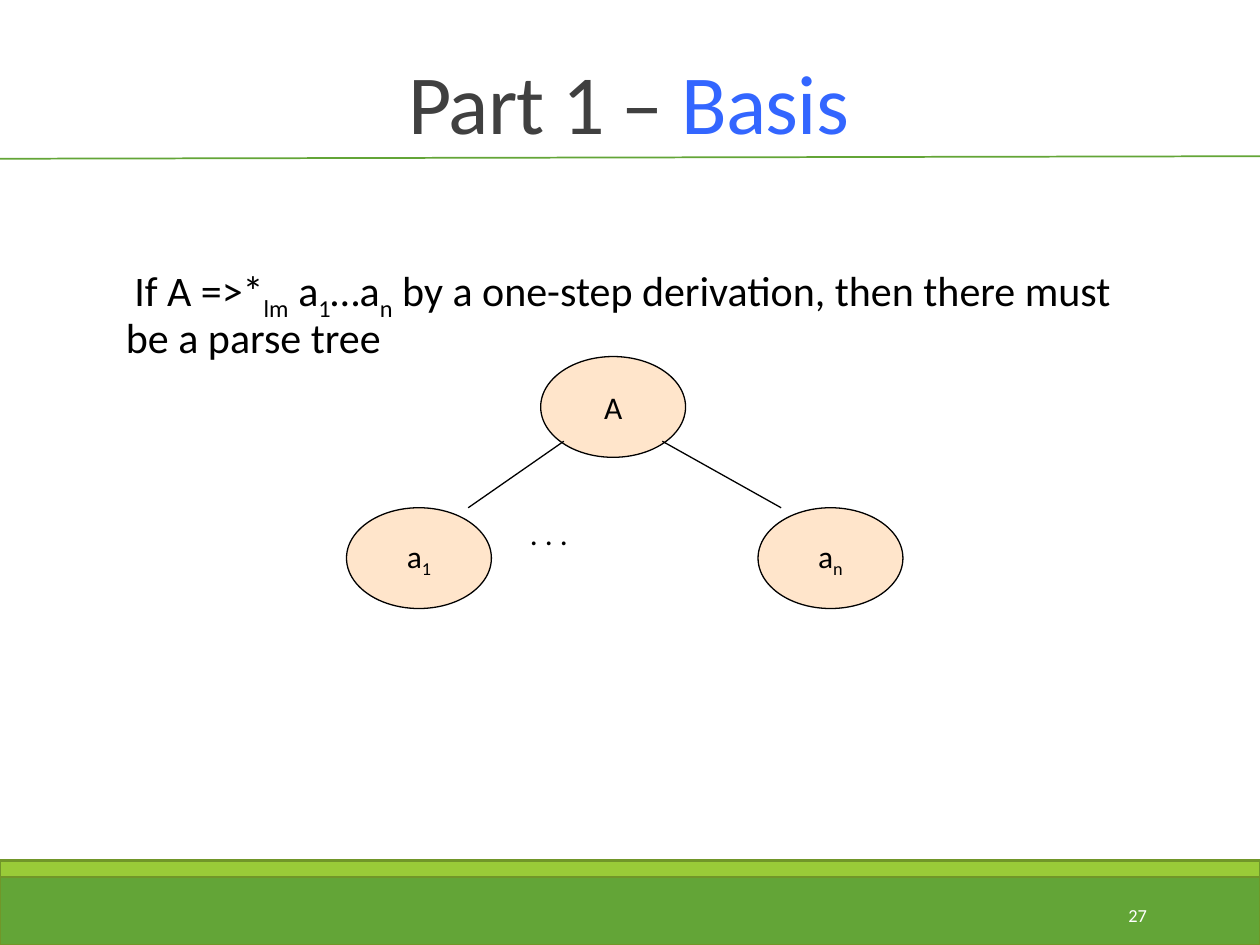
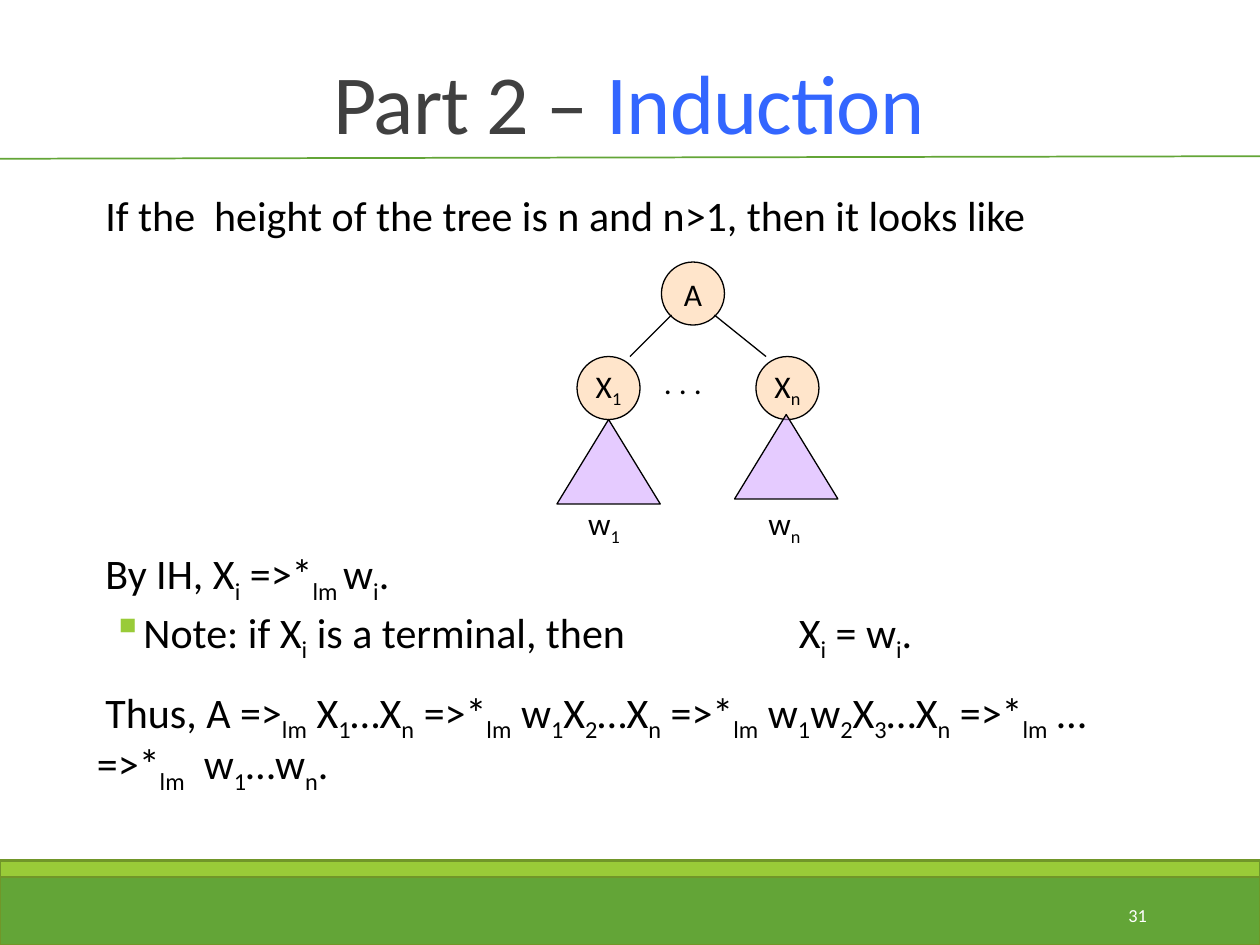
import pptx
import pptx.dml.color
import pptx.enum.shapes
import pptx.enum.text
import pptx.oxml
import pptx.oxml.ns
import pptx.util
from lxml import etree

Inches = pptx.util.Inches
Pt = pptx.util.Pt
RGB = pptx.dml.color.RGBColor
MSO_SHAPE = pptx.enum.shapes.MSO_SHAPE
ALIGN = pptx.enum.text.PP_ALIGN
ANCHOR = pptx.enum.text.MSO_ANCHOR
qn = pptx.oxml.ns.qn

FONT = "Calibri"
BLACK = RGB(0x00, 0x00, 0x00)
WHITE = RGB(0xFF, 0xFF, 0xFF)
GREEN = RGB(0x63, 0xA5, 0x37)
LIME = RGB(0x99, 0xCB, 0x38)
OLIVE = RGB(0x71, 0x96, 0x29)
GRAY = RGB(0x40, 0x40, 0x40)
BLUE = RGB(0x33, 0x66, 0xFF)
PEACH = RGB(0xFF, 0xCC, 0x99)
VIOLET = RGB(0xCC, 0x99, 0xFF)


def add_text(p, text, size=18, color=BLACK, spacing=None):
    """Write text into a paragraph; parts between ~ marks are subscripts."""
    for i, part in enumerate(text.split("~")):
        if not part:
            continue
        r = p.add_run()
        r.text = part
        r.font.name = FONT
        r.font.size = Pt(size)
        r.font.color.rgb = color
        if spacing is not None:
            r.font._element.set("spc", str(spacing))
        if i % 2:
            r.font._element.set("baseline", "-25000")


def add_box(s, x, y, w, h, anchor=ANCHOR.TOP, align=ALIGN.LEFT):
    tf = s.shapes.add_textbox(Inches(x), Inches(y), Inches(w), Inches(h)).text_frame
    tf.word_wrap = True
    tf.vertical_anchor = anchor
    tf.paragraphs[0].alignment = align
    return tf


def add_shape(s, kind, x, y, w, h, fill, line=BLACK, width=0.75, alpha=None):
    sp = s.shapes.add_shape(kind, Inches(x), Inches(y), Inches(w), Inches(h))
    sp.shadow.inherit = False
    sp.fill.solid()
    sp.fill.fore_color.rgb = fill
    sp.line.color.rgb = line
    sp.line.width = Pt(width)
    if alpha is not None:
        clr = sp._element.spPr.find(qn("a:solidFill"))[0]
        etree.SubElement(clr, qn("a:alpha")).set("val", str(alpha * 1000))
    return sp


def add_line(s, x1, y1, x2, y2, color=BLACK, width=0.75):
    c = s.shapes.add_connector(pptx.enum.shapes.MSO_CONNECTOR.STRAIGHT,
                               Inches(x1), Inches(y1), Inches(x2), Inches(y2))
    c.line.color.rgb = color
    c.line.width = Pt(width)
    etree.SubElement(c._element.spPr, qn("a:effectLst"))


def add_frame(prs, title, accent, number):
    """Bands, rule, page number and title shared by the slides."""
    s = prs.slides.add_slide(prs.slide_layouts[6])
    add_shape(s, MSO_SHAPE.RECTANGLE, 0, 6.92, 10, 0.58, GREEN, OLIVE, 1.25)
    add_shape(s, MSO_SHAPE.RECTANGLE, 0, 6.83, 10, 0.13, LIME, OLIVE, 1.25)
    add_line(s, -0.03, 1.26, 10, 1.24, GREEN, 1)
    tf = add_box(s, 8.12, 7.06, 1.08, 0.4, ANCHOR.MIDDLE, ALIGN.RIGHT)
    add_text(tf.paragraphs[0], number, size=10.5, color=WHITE)
    tf = add_box(s, 0.49, 0.25, 9, 1, ANCHOR.BOTTOM, ALIGN.CENTER)
    p = tf.paragraphs[0]
    p.line_spacing = 0.85
    add_text(p, title, size=48, color=GRAY, spacing=-50)
    add_text(p, accent, size=48, color=BLUE, spacing=-50)
    return s


def set_bullet(p, char, margin, hang, tab=None):
    pPr = p._p.get_or_add_pPr()
    pPr.set("marL", str(Inches(margin)))
    pPr.set("indent", str(-Inches(hang)))
    clr = etree.SubElement(etree.SubElement(pPr, qn("a:buClr")), qn("a:srgbClr"))
    clr.set("val", str(LIME))
    etree.SubElement(pPr, qn("a:buChar")).set("char", char)
    if tab:
        stop = etree.SubElement(etree.SubElement(pPr, qn("a:tabLst")), qn("a:tab"))
        stop.set("pos", str(Inches(tab)))
        stop.set("algn", "l")


def add_body(s, x, y, w, h, items):
    """Each item: text, level, space before in points."""
    tf = add_box(s, x, y, w, h)
    tf.margin_left = tf.margin_right = 0
    for i, (text, level, before) in enumerate(items):
        p = tf.add_paragraph() if i else tf.paragraphs[0]
        p.level = level
        p.line_spacing = 0.9
        p.space_before = Pt(before)
        p.space_after = Pt(4 if level else 2)
        if level:
            set_bullet(p, "▪", 0.42, 0.2, tab=5.67)
        else:
            set_bullet(p, " ", 0.1, 0.1)
        add_text(p, text, size=24)


def add_tree(s, x, y, sx, sy, names):
    """Root over two children; sx and sy stretch the unit tree."""
    def place(u, v):
        return x + u * sx, y + v * sy

    spots = [(0.67, 0), (0, 0.75), (1.42, 0.75)]
    for name, spot in zip(names, spots):
        sp = add_shape(s, MSO_SHAPE.OVAL, *place(*spot), 0.5 * sx, 0.5 * sy,
                       PEACH, alpha=50)
        tf = sp.text_frame
        tf.word_wrap = False
        tf.vertical_anchor = ANCHOR.MIDDLE
        tf.paragraphs[0].alignment = ALIGN.CENTER
        add_text(tf.paragraphs[0], name)
    tf = add_box(s, *place(0.59, 0.75), 0.71 * sx, 0.5 * sy)
    add_text(tf.paragraphs[0], ". . .")
    for start, end in ((0.75, 0.42), (1.09, 1.5)):
        add_line(s, *place(start, 0.42), *place(end, 0.75))


def add_subtree(s, x, y, label, label_x, label_y):
    add_shape(s, MSO_SHAPE.ISOSCELES_TRIANGLE, x, y, 0.82, 0.67, VIOLET, alpha=50)
    tf = add_box(s, label_x, label_y, 0.57, 0.5)
    add_text(tf.paragraphs[0], label)


def basis_slide(prs):
    s = add_frame(prs, "Part 1 – ", "Basis", "27")
    add_body(s, 0.9, 2.06, 8.1, 4.6, [
        ("If A =>*~lm~ a~1~…a~n~ by a one-step derivation, "
         "then there must be a parse tree", 0, 12)])
    add_tree(s, 2.75, 2.83, 2.3, 1.6, ["A", "a~1~", "a~n~"])


def induction_slide(prs):
    s = add_frame(prs, "Part 2 – ", "Induction", "31")
    add_body(s, 0.67, 1.5, 8.5, 4.92, [
        ("If the  height of the tree is n and n>1, then it looks like", 0, 12),
        # Wide gap leaves room for the tree
        ("By IH, X~i~ =>*~lm ~w~i~.", 0, 174),
        ("Note: if X~i~ is a terminal, then\tX~i~ = w~i~.", 1, 2),
        ("Thus, A =>~lm~ X~1~…X~n~ =>*~lm~ w~1~X~2~…X~n~ =>*~lm~ "
         "w~1~w~2~X~3~…X~n~ =>*~lm~ … =>*~lm~  w~1~…w~n~.", 0, 12)])
    add_tree(s, 4.58, 2.08, 1, 1, ["A", "X~1~", "X~n~"])
    add_subtree(s, 4.42, 3.33, "w~1~", 4.57, 3.95)
    add_subtree(s, 5.83, 3.29, "w~n~", 6, 3.95)


def main():
    prs = pptx.Presentation()
    prs.slide_width = Inches(10)
    prs.slide_height = Inches(7.5)
    basis_slide(prs)
    induction_slide(prs)
    prs.save("out.pptx")


if __name__ == "__main__":
    main()
